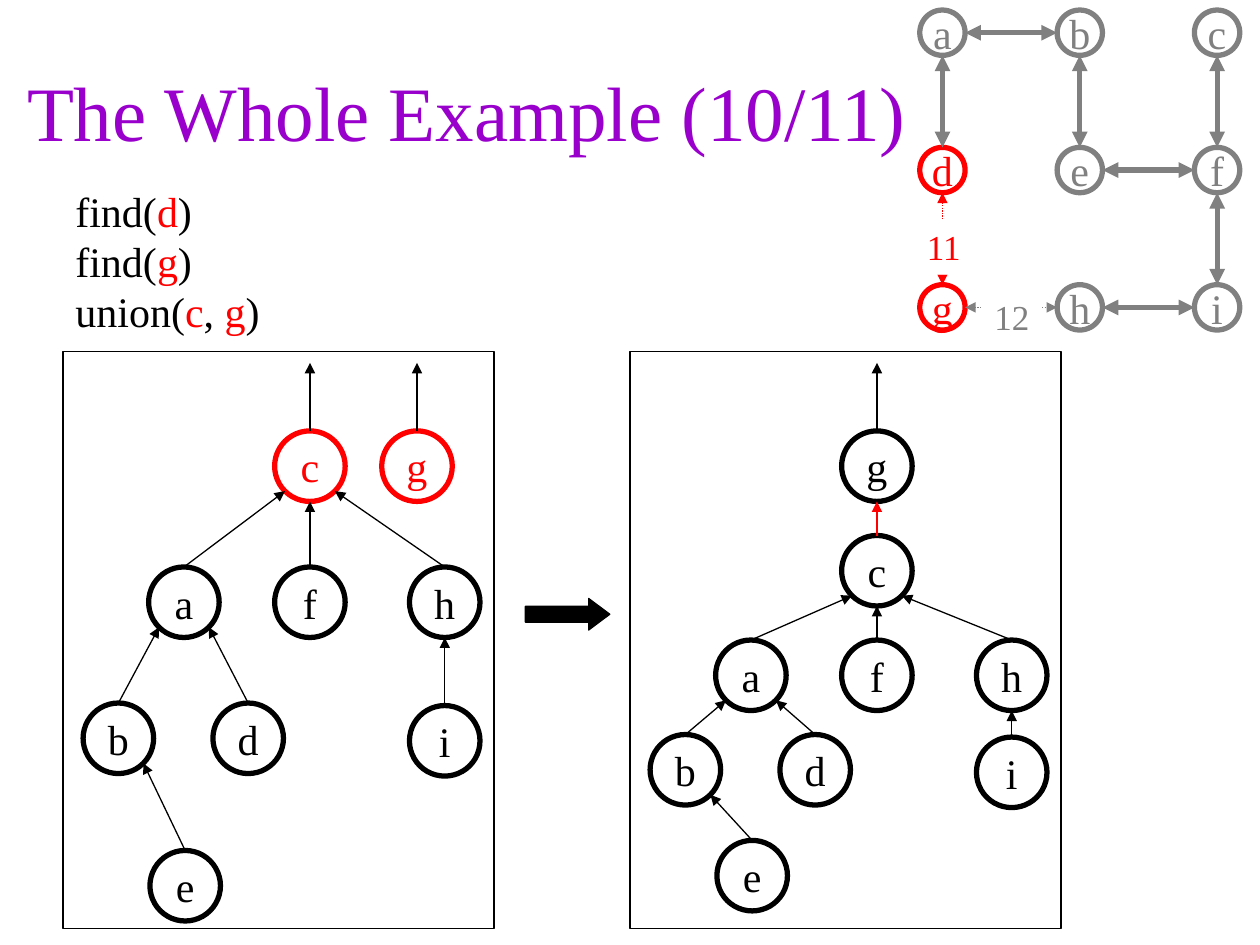
from math import sqrt

from lxml import etree
from pptx import Presentation
from pptx.dml.color import RGBColor
from pptx.enum import dml, shapes, text
from pptx.oxml import ns
from pptx.util import Inches, Pt

BLACK = RGBColor(0x00, 0x00, 0x00)
WHITE = RGBColor(0xFF, 0xFF, 0xFF)
RED = RGBColor(0xFF, 0x00, 0x00)
GRAY = RGBColor(0x80, 0x80, 0x80)
PURPLE = RGBColor(0x99, 0x00, 0xCC)
FONT = "Times New Roman"

TREE_NODE = 0.56
GRAPH_NODE = 0.36
GRAPH_PITCH = 1.09
NODE_X = {"a": 0.68, "b": 0.16, "c": 1.68, "d": 1.19, "e": 0.69,
          "f": 1.68, "g": 1.68, "h": 2.75, "i": 2.75}
PARENTS = {"f": "c", "h": "c", "a": "c", "b": "a", "i": "h", "d": "a", "e": "b"}


def style_font(font, size, color):
    font.name, font.size = FONT, Pt(size)
    font.color.rgb = color


def add_preset(page, kind, left, top, width, height, fill=None, line=None, weight=0.75):
    shape = page.shapes.add_shape(kind, Inches(left), Inches(top), Inches(width), Inches(height))
    shape.shadow.inherit = False
    if fill is None:
        shape.fill.background()
    else:
        shape.fill.solid()
        shape.fill.fore_color.rgb = fill
    if line is None:
        shape.line.fill.background()
    else:
        shape.line.color.rgb = line
        shape.line.width = Pt(weight)
    return shape


def write_centred(shape, words, size, color, anchor, wrap=False):
    frame = shape.text_frame
    frame.word_wrap = wrap
    frame.vertical_anchor = anchor
    frame.text = words
    para = frame.paragraphs[0]
    para.alignment = text.PP_ALIGN.CENTER
    style_font(para.runs[0].font, size, color)


def add_node(page, name, left, top, size, color):
    circle = add_preset(page, shapes.MSO_SHAPE.OVAL, left, top, size, size, line=color, weight=3)
    write_centred(circle, name, 24, color, text.MSO_ANCHOR.MIDDLE)


def add_arrow(page, start, end, color, weight=0.75, both_ends=False, dotted=False):
    arrow = page.shapes.add_connector(
        shapes.MSO_CONNECTOR.STRAIGHT, *[Inches(value) for value in (*start, *end)])
    arrow.line.color.rgb = color
    arrow.line.width = Pt(weight)
    if dotted:
        arrow.line.dash_style = dml.MSO_LINE.ROUND_DOT
    outline = arrow.line._get_or_add_ln()
    for tag in ("a:headEnd", "a:tailEnd") if both_ends else ("a:tailEnd",):
        etree.SubElement(outline, ns.qn(tag), type="triangle")
    etree.SubElement(arrow._element.spPr, ns.qn("a:effectLst"))


def add_title(page, left, top, width, height):
    box = page.shapes.add_textbox(Inches(left), Inches(top), Inches(width), Inches(height))
    write_centred(box, "The Whole Example (10/11)", 44, PURPLE, text.MSO_ANCHOR.MIDDLE, wrap=True)


def add_calls(page, left, top, width, height):
    """List the find and union calls, with the node names in red."""
    box = page.shapes.add_textbox(Inches(left), Inches(top), Inches(width), Inches(height))
    frame = box.text_frame
    frame.word_wrap = False
    calls = [("find(", "d", ")"), ("find(", "g", ")"), ("union(", "c", ", ", "g", ")")]
    for index, call in enumerate(calls):
        para = frame.add_paragraph() if index else frame.paragraphs[0]
        for part in call:
            span = para.add_run()
            span.text = part
            style_font(span.font, 24, RED if part in ("c", "d", "g") else BLACK)


def add_graph(page, left, top):
    """Draw the 3 by 3 graph; chosen edges are solid, the others dotted with a weight."""
    corners = {name: (left + index % 3 * GRAPH_PITCH, top + index // 3 * GRAPH_PITCH)
               for index, name in enumerate("abcdefghi")}
    for name, (x, y) in corners.items():
        add_node(page, name, x, y, GRAPH_NODE, RED if name in "dg" else GRAY)
    for first, second in ("ab", "ad", "be", "cf", "ef", "fi", "hi", "dg", "gh"):
        (x1, y1), (x2, y2) = corners[first], corners[second]
        half = GRAPH_NODE / 2
        if y1 == y2:
            start, end = (x1 + GRAPH_NODE, y1 + half), (x2, y2 + half)
        else:
            start, end = (x1 + half, y1 + GRAPH_NODE), (x2 + half, y2)
        dotted = "g" in (first, second)
        color = RED if first == "d" else GRAY
        add_arrow(page, start, end, color, 0.75 if dotted else 3, both_ends=True, dotted=dotted)
    for words, x, y, color in (("11", -0.05, 1.66, RED), ("12", 0.49, 2.22, GRAY)):
        label = add_preset(page, shapes.MSO_SHAPE.RECTANGLE, left + x, top + y, 0.48, 0.44, WHITE)
        write_centred(label, words, 20, color, text.MSO_ANCHOR.TOP)


def add_forest(page, left, top, width, height, node_tops, parents, moved=None, red_nodes="", **shifts):
    """Draw a framed forest; node_tops gives heights, moved the child with a red arrow."""
    add_preset(page, shapes.MSO_SHAPE.RECTANGLE, left, top, width, height, WHITE, BLACK)
    half = TREE_NODE / 2
    centres = {name: (left + shifts.get(name, NODE_X[name]) + half, top + y + half)
               for name, y in node_tops.items()}
    for name, (x, y) in centres.items():
        add_node(page, name, x - half, y - half, TREE_NODE, RED if name in red_nodes else BLACK)
    for name, (x, y) in centres.items():
        if name not in parents:
            end = (x, top + 0.09)
        else:
            parent_x, parent_y = centres[parents[name]]
            diagonal = half / sqrt(2)
            if abs(x - parent_x) < 0.05:
                end = (parent_x, parent_y + half)
            else:
                side = 1 if x > parent_x else -1
                end = (parent_x + side * diagonal, parent_y + diagonal)
        add_arrow(page, (x, y - half), end, RED if name == moved else BLACK)


def add_step_arrow(page, left, top, width, height):
    arrow = add_preset(page, shapes.MSO_SHAPE.RIGHT_ARROW, left, top, width, height, BLACK, BLACK)
    arrow.adjustments[0] = 0.5
    arrow.adjustments[1] = 0.67


def main():
    deck = Presentation()
    deck.slide_width, deck.slide_height = Inches(10), Inches(7.5)
    page = deck.slides.add_slide(deck.slide_layouts[6])
    add_title(page, 0.08, 0.25, 7.25, 1.25)
    add_calls(page, 0.5, 1.42, 1.66, 1.3)
    add_graph(page, 7.3, 0.08)
    before = {"c": 0.63, "g": 0.63, "a": 1.71, "f": 1.71, "h": 1.71,
              "b": 2.79, "d": 2.79, "i": 2.81, "e": 3.96}
    after = {"g": 0.63, "c": 1.46, "a": 2.29, "f": 2.29, "h": 2.29,
             "b": 3.04, "d": 3.04, "i": 3.06, "e": 3.88}
    add_forest(page, 0.5, 2.79, 3.42, 4.58, before, PARENTS, red_nodes="cg", g=2.53)
    add_forest(page, 5, 2.79, 3.42, 4.58, after, {**PARENTS, "c": "g"}, moved="c")
    add_step_arrow(page, 4.17, 4.75, 0.67, 0.25)
    deck.save("out.pptx")


if __name__ == "__main__":
    main()
